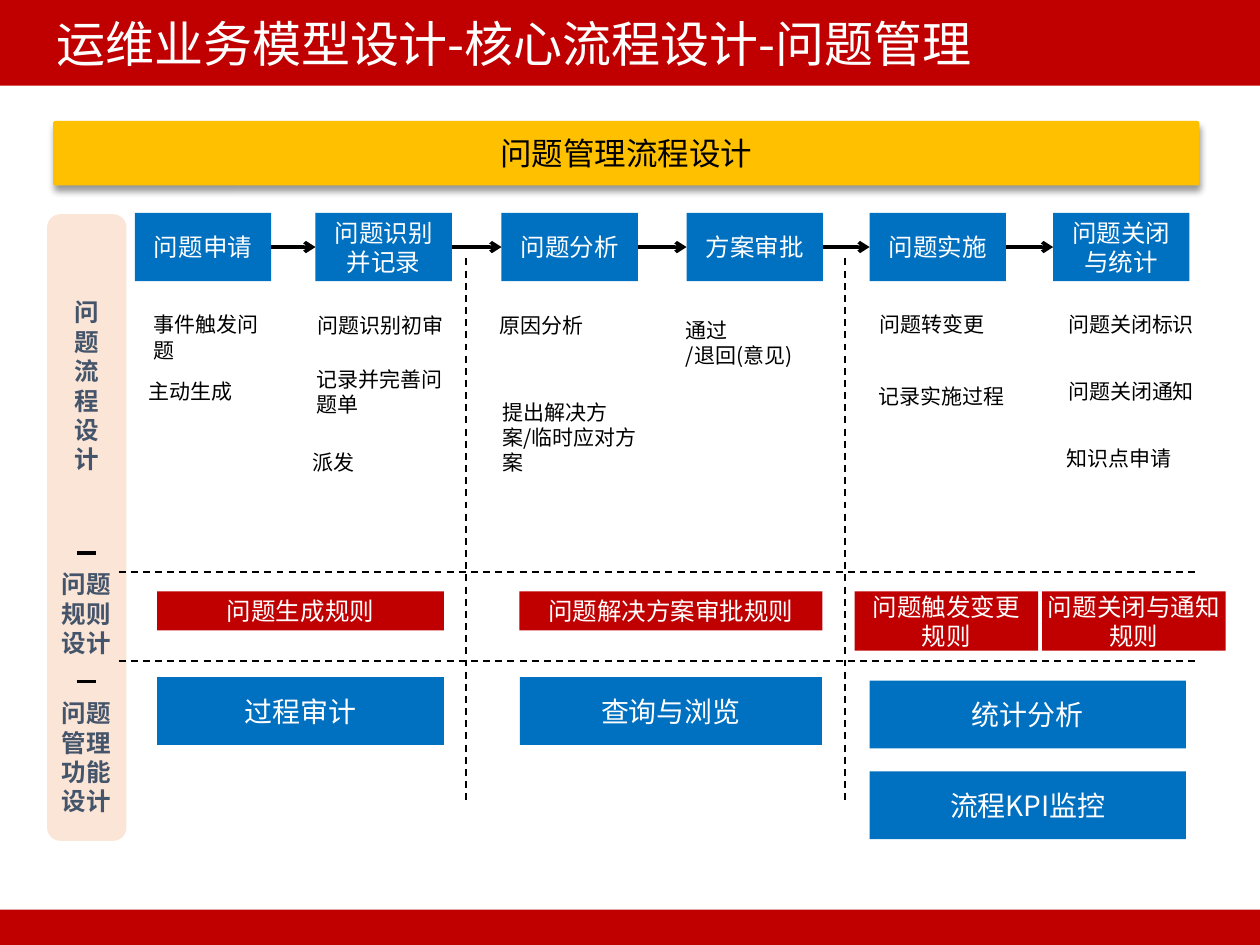
import pptx
import pptx.dml.color
import pptx.enum.dml
import pptx.enum.shapes
import pptx.enum.text
import pptx.oxml.ns
import pptx.util
from lxml import etree

Cm = pptx.util.Cm
RGB = pptx.dml.color.RGBColor.from_string
MSO = pptx.enum.shapes.MSO_SHAPE
ALIGN = pptx.enum.text.PP_ALIGN
ANCHOR = pptx.enum.text.MSO_ANCHOR
qn = pptx.oxml.ns.qn

THEME = {
    "font": "Noto Sans CJK SC",
    "red": "C00000", "blue": "0070C0", "yellow": "FFC000", "peach": "FBE5D6",
    "slate": "44546A", "white": "FFFFFF", "black": "000000",
    "title": 28, "banner": 18, "function": 16, "step": 14, "detail": 12,
}

prs = pptx.Presentation()
prs.slide_width, prs.slide_height = Cm(25.4), Cm(19.05)
s = prs.slides.add_slide(prs.slide_layouts[6])


def add_box(text, x, y, w, h, fill=None, color="white", size="step", align=ALIGN.CENTER,
            shape=MSO.RECTANGLE, anchor=ANCHOR.MIDDLE, inset=0.25, bold=False):
    at = Cm(x), Cm(y), Cm(w), Cm(h)
    if fill:
        sp = s.shapes.add_shape(shape, *at)
        sp.shadow.inherit = False
        sp.fill.solid()
        sp.fill.fore_color.rgb = RGB(THEME[fill])
        sp.line.fill.background()
    else:
        sp = s.shapes.add_textbox(*at)
    tf = sp.text_frame
    tf.word_wrap = True
    tf.vertical_anchor = anchor
    tf.margin_left = tf.margin_right = Cm(inset)
    tf.text = text
    for p in tf.paragraphs:
        p.alignment = align
        for r in p.runs:
            r.font.size = pptx.util.Pt(THEME[size])
            r.font.bold = bold
            r.font.color.rgb = RGB(THEME[color])
            r.font.name = THEME["font"]
            etree.SubElement(r.font._element, qn("a:ea"), typeface=THEME["font"])
    return sp


def add_line(x1, y1, x2, y2, width=2, dashed=False, arrow=False):
    cn = s.shapes.add_connector(pptx.enum.shapes.MSO_CONNECTOR.STRAIGHT,
                                Cm(x1), Cm(y1), Cm(x2), Cm(y2))
    cn.line.width = pptx.util.Pt(width)
    cn.line.color.rgb = RGB(THEME["black"])
    if dashed:
        cn.line.dash_style = pptx.enum.dml.MSO_LINE.DASH
    if arrow:
        etree.SubElement(cn.line._get_or_add_ln(), qn("a:tailEnd"), type="arrow")
    etree.SubElement(cn._element.spPr, qn("a:effectLst"))


add_box("", 0, 0, 25.4, 1.73, "red")
add_box("", 0, 18.34, 25.4, 0.71, "red")
add_box("运维业务模型设计-核心流程设计-问题管理", 0.89, 0, 23.6, 1.73,
        size="title", align=ALIGN.LEFT)

banner = add_box("问题管理流程设计", 1.07, 2.44, 23.11, 1.3, "yellow", "black", "banner",
                 shape=MSO.ROUNDED_RECTANGLE, inset=0)
banner.adjustments[0] = 0.037
effects = banner._element.spPr.find(qn("a:effectLst"))
shadow = etree.SubElement(effects, qn("a:outerShdw"), blurRad="50800", dist="38100",
                          dir="5400000", rotWithShape="0")
shade = etree.SubElement(shadow, qn("a:srgbClr"), val=THEME["black"])
etree.SubElement(shade, qn("a:alpha"), val="40000")

details = [
    ("事件触发问题", 2.79, 6.25, 2.79, 1.09, ALIGN.LEFT),
    ("主动生成", 2.59, 7.34, 2.51, 1.09, ALIGN.CENTER),
    ("问题识别初审", 6.07, 6.02, 3.2, 1.09, ALIGN.CENTER),
    ("记录并完善问题单", 6.07, 7.29, 3.53, 1.22, ALIGN.LEFT),
    ("派发", 5.13, 8.71, 3.2, 1.22, ALIGN.CENTER),
    ("原因分析", 9.32, 6.02, 3.18, 1.09, ALIGN.CENTER),
    ("提出解决方案/临时应对方案", 9.73, 7.34, 3.63, 2.95, ALIGN.LEFT),
    ("通过\n/退回(意见)", 13.49, 6.02, 3.1, 1.78, ALIGN.LEFT),
    ("问题转变更", 17.07, 5.99, 3.43, 1.09, ALIGN.CENTER),
    ("记录实施过程", 17.27, 7.44, 3.43, 1.09, ALIGN.CENTER),
    ("问题关闭标识", 21.23, 5.99, 3.18, 1.09, ALIGN.LEFT),
    ("问题关闭通知", 21.23, 7.34, 3.18, 1.09, ALIGN.LEFT),
    ("知识点申请", 21.13, 8.69, 2.87, 1.09, ALIGN.CENTER),
]
for text, x, y, w, h, align in details:
    add_box(text, x, y, w, h, "white", "black", "detail", align, MSO.ROUNDED_RECTANGLE)

steps = [
    ("问题申请", 2.72), ("问题识别\n并记录", 6.36), ("问题分析", 10.11),
    ("方案审批", 13.84), ("问题实施", 17.53), ("问题关闭与统计", 21.23),
]
step_w = 2.75
for text, x in steps:
    add_box(text, x, 4.29, step_w, 1.38, "blue")
for (_, x), (_, next_x) in zip(steps, steps[1:]):
    add_line(x + step_w, 4.98, next_x, 4.98, arrow=True)

rules = [
    ("问题生成规则", 3.17, 5.78, 0.79, 0.05),
    ("问题解决方案审批规则", 10.47, 6.11, 0.79, 0.05),
    ("问题触发变更规则", 17.23, 3.7, 1.2, 0.25),
    ("问题关闭与通知\n规则", 21.01, 3.7, 1.2, 0.05),
]
for text, x, w, h, inset in rules:
    add_box(text, x, 11.92, w, h, "red", inset=inset)

functions = [
    ("过程审计", 3.17, 13.65, 5.78),
    ("查询与浏览", 10.48, 13.65, 6.09),
    ("统计分析", 17.53, 13.72, 6.38),
    ("流程KPI监控", 17.53, 15.55, 6.38),
]
for text, x, y, w in functions:
    add_box(text, x, y, w, 1.37, "blue", size="function")

add_box("", 0.95, 4.32, 1.6, 12.63, "peach", shape=MSO.ROUNDED_RECTANGLE)
sections = [
    ("问题流程设计", 1.17, 5.87, 1.14, 3.84),
    ("问题规则设计", 0.98, 11.35, 1.53, 2.06),
    ("问题管理功能设计", 0.98, 13.95, 1.53, 2.64),
]
for text, x, y, w, h in sections:
    add_box(text, x, y, w, h, color="slate", anchor=ANCHOR.TOP, bold=True)

for y in (11.15, 13.74):
    add_line(1.55, y, 1.93, y)
for x in (9.4, 17.04):
    add_line(x, 5.21, x, 16.13, 1, dashed=True)
for y in (11.53, 13.33):
    add_line(2.39, y, 24.1, y, 1, dashed=True)

prs.save("out.pptx")
